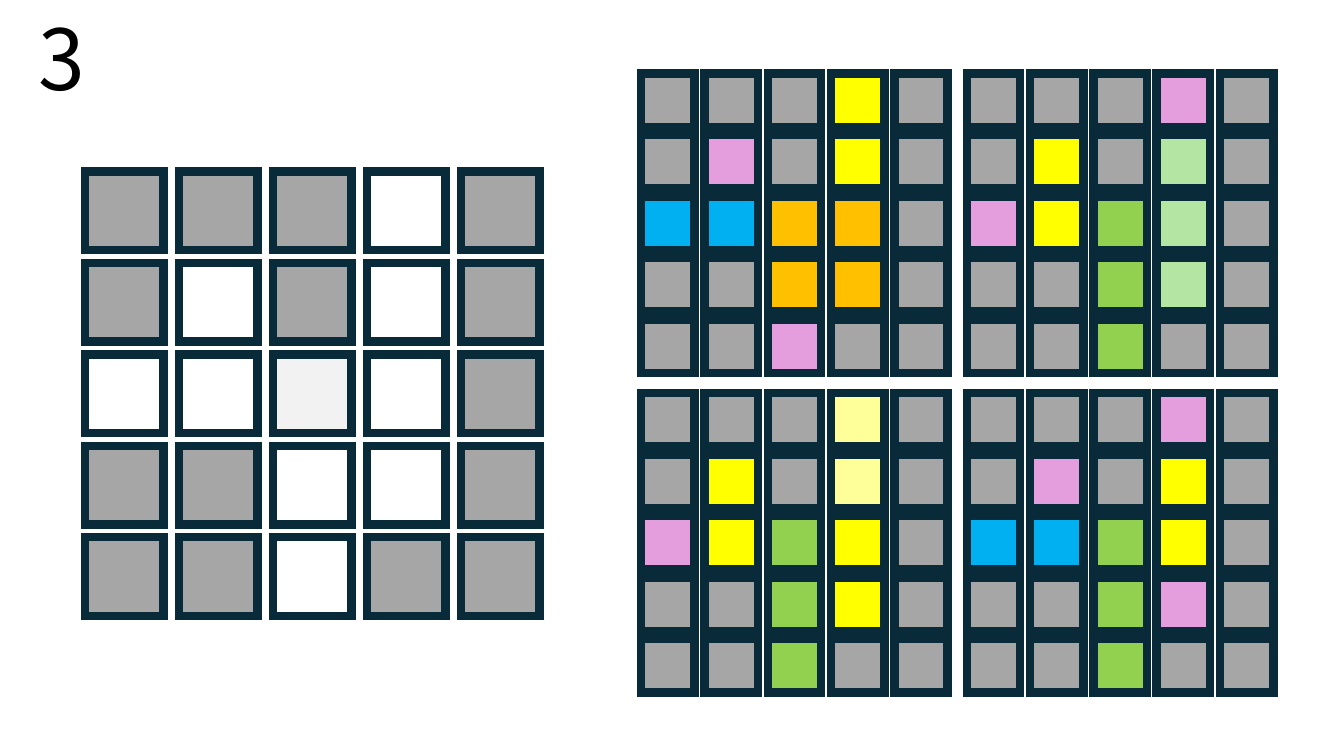
from pptx import Presentation
from pptx.dml.color import RGBColor
from pptx.enum.shapes import MSO_SHAPE
from pptx.enum.text import MSO_ANCHOR, PP_ALIGN
from pptx.oxml.ns import qn
from pptx.util import Inches, Pt
from lxml import etree

RECTANGLE = MSO_SHAPE.RECTANGLE
TOP = MSO_ANCHOR.TOP
LEFT = PP_ALIGN.LEFT
TITLE_ONLY = 5
SIDE = 5  # cells along each side of a board

COLORS = {
    "text": "000000", "border": "092A39",
    ".": "A6A6A6", "W": "FFFFFF", "S": "F2F2F2",
    "Y": "FFFF00", "L": "FFFF99", "P": "E59EDD", "B": "00B0F0",
    "O": "FFC000", "G": "92D050", "M": "B4E5A2",
}

# One letter per cell, one word per row
PUZZLE = "...W. .W.W. WWSW. ..WW. ..W.."
SOLUTIONS = [
    ["...Y. .P.Y. BBOO. ..OO. ..P..", "...P. .Y.M. PYGM. ..GM. ..G.."],
    ["...L. .Y.L. PYGY. ..GY. ..G..", "...P. .P.Y. BBGY. ..GP. ..G.."],
]

# Board sizes in inches: outer width, outer height, cell side
PUZZLE_SIZE = (4.51, 4.41, 0.78)
SOLUTION_SIZE = (3.04, 2.97, 0.53)
SOLUTION_LEFT, SOLUTION_TOP = 6.36, 0.73
SOLUTION_STEP_X, SOLUTION_STEP_Y = 3.23, 3.17


def color(key):
    return RGBColor.from_string(COLORS[key])


def set_format(target, values):
    for name, value in values.items():
        setattr(target, name, value)


def add_cell(page, left, top, side, key):
    box = page.shapes.add_shape(
        RECTANGLE, Inches(left), Inches(top), Inches(side), Inches(side))
    box.shadow.inherit = False
    box.fill.solid()
    box.fill.fore_color.rgb = color(key)
    box.line.color.rgb = color("border")
    box.line.width = Pt(6)
    # Square outer corners
    outline = box.element.spPr.find(qn("a:ln"))
    etree.SubElement(outline, qn("a:miter"), lim="800000")


def add_board(page, left, top, size, pattern):
    width, height, side = size
    step_x = (width - side) / (SIDE - 1)
    step_y = (height - side) / (SIDE - 1)
    for row, keys in enumerate(pattern.split()):
        for column, key in enumerate(keys):
            add_cell(page, left + column * step_x, top + row * step_y, side, key)


def add_title(page, text):
    title = page.shapes.title
    set_format(title, {"left": Inches(0.28), "top": Inches(0.13),
                       "width": Inches(1.13), "height": Inches(1.11)})
    frame = title.text_frame
    set_format(frame, {"vertical_anchor": TOP, "word_wrap": True})
    para = frame.paragraphs[0]
    set_format(para, {"alignment": LEFT, "line_spacing": 0.9})
    span = para.add_run()
    span.text = text
    set_format(span.font, {"name": "Noto Sans CJK KR", "size": Pt(60)})
    span.font.color.rgb = color("text")


def main():
    deck = Presentation()
    set_format(deck, {"slide_width": Inches(13.33), "slide_height": Inches(7.5)})
    page = deck.slides.add_slide(deck.slide_layouts[TITLE_ONLY])

    # Puzzle number and the empty puzzle
    add_title(page, "3")
    add_board(page, 0.84, 1.7, PUZZLE_SIZE, PUZZLE)

    # Two by two solutions
    for row, patterns in enumerate(SOLUTIONS):
        for column, pattern in enumerate(patterns):
            add_board(page, SOLUTION_LEFT + column * SOLUTION_STEP_X,
                      SOLUTION_TOP + row * SOLUTION_STEP_Y, SOLUTION_SIZE, pattern)

    deck.save("out.pptx")


if __name__ == "__main__":
    main()
